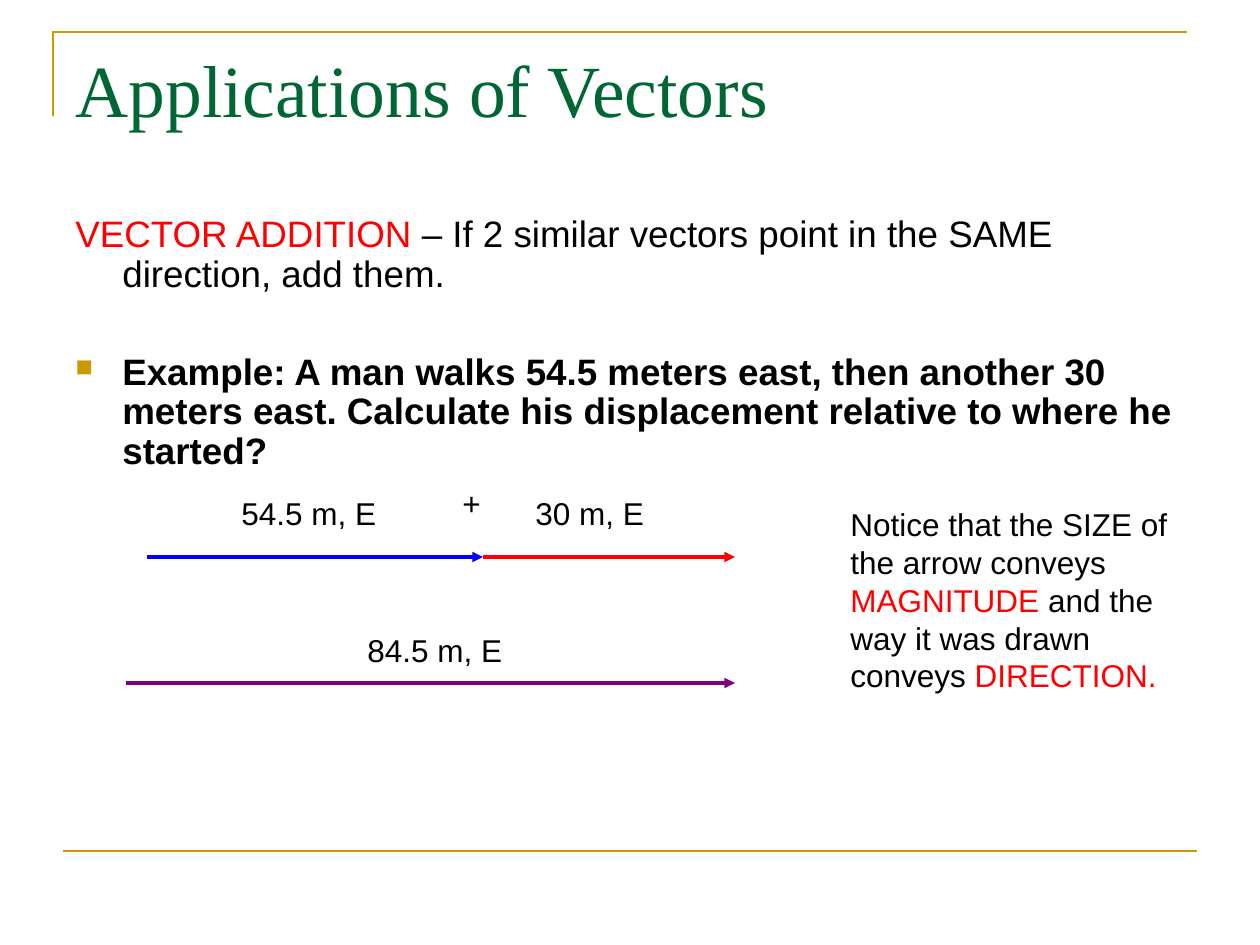
from lxml import etree
from pptx import Presentation
from pptx.dml.color import RGBColor
from pptx.enum.shapes import MSO_CONNECTOR
from pptx.enum.text import MSO_ANCHOR, MSO_AUTO_SIZE, PP_ALIGN
from pptx.oxml.ns import qn
from pptx.util import Emu, Pt

STRAIGHT = MSO_CONNECTOR.STRAIGHT
TOP = MSO_ANCHOR.TOP
LEFT = PP_ALIGN.LEFT
FIT = MSO_AUTO_SIZE.SHAPE_TO_FIT_TEXT
NONE = MSO_AUTO_SIZE.NONE

SCALE = 914400 / 126
THEME = {
    "gold": RGBColor.from_string("CC9900"),
    "green": RGBColor.from_string("006633"),
    "black": RGBColor.from_string("000000"),
    "red": RGBColor.from_string("FF0000"),
    "blue": RGBColor.from_string("0000FF"),
    "purple": RGBColor.from_string("800080"),
    "serif": "Times New Roman", "sans": "Arial",
    "title": Pt(42), "body": Pt(21), "note": Pt(18),
    "rule": Pt(1.5), "arrow": Pt(2),
}


def px(*vals):
    return [Emu(round(v * SCALE)) for v in vals]


def write(para, runs, size, face="sans", bold=False):
    para.alignment = LEFT
    for text, color in runs:
        run = para.add_run()
        run.text = text
        look = {"name": THEME[face], "size": THEME[size], "bold": bold}
        for key, val in look.items():
            setattr(run.font, key, val)
        run.font.color.rgb = THEME[color]


deck = Presentation()
deck.slide_width, deck.slide_height = px(1260, 945)
slide = deck.slides.add_slide(deck.slide_layouts[5])
shapes = slide.shapes

# Corner frame
pen = shapes.build_freeform(53, 116, scale=SCALE)
pen.add_line_segments([(53, 32), (1187, 32)], close=False)
frame = pen.convert_to_shape()
frame.fill.background()
frame.shadow.inherit = False
frame.line.color.rgb = THEME["gold"]
frame.line.width = THEME["rule"]

# Title
title = shapes.title
title.left, title.top, title.width, title.height = px(63, 38, 1134, 157)
for key, val in {"vertical_anchor": TOP, "auto_size": NONE, "word_wrap": True}.items():
    setattr(title.text_frame, key, val)
write(title.text_frame.paragraphs[0], [("Applications of Vectors", "green")],
      "title", "serif")

# Definition and example
body = shapes.add_textbox(*px(63, 210, 1134, 284)).text_frame
body.word_wrap = True
lines = [
    ([("VECTOR ADDITION", "red"),
      (" – If 2 similar vectors point in the SAME direction, add them.", "black")],
     5.2, False),
    ([("Example: A man walks 54.5 meters east, then another 30 meters east. "
       "Calculate his displacement relative to where he started?", "black")],
     33, True),
]
hang = px(47)[0]
for i, (runs, gap, example) in enumerate(lines):
    para = body.add_paragraph() if i else body.paragraphs[0]
    write(para, runs, "body", bold=example)
    para.line_spacing = 0.9
    para.space_before = Pt(gap)
    props = para._p.get_or_add_pPr()
    props.set("marL", str(hang))
    props.set("indent", str(-hang))
    if example:
        tint = etree.SubElement(props, qn("a:buClr"))
        etree.SubElement(tint, qn("a:srgbClr"), val=str(THEME["gold"]))
        etree.SubElement(props, qn("a:buSzPct"), val="65000")
        etree.SubElement(props, qn("a:buChar"), char="■")

# Vector arrows and the bottom rule
for x1, x2, y, color, width in [
    (63, 1197, 851, "gold", "rule"),
    (147, 483, 557, "blue", "arrow"),
    (483, 735, 557, "red", "arrow"),
    (126, 735, 683, "purple", "arrow"),
]:
    line = shapes.add_connector(STRAIGHT, *px(x1, y, x2, y))
    line.line.color.rgb = THEME[color]
    line.line.width = THEME[width]
    if width == "arrow":
        etree.SubElement(line.line._get_or_add_ln(), qn("a:tailEnd"), type="triangle")
    etree.SubElement(line._element.spPr, qn("a:effectLst"))

# Vector labels and the side note
note = [("Notice that the SIZE of the arrow conveys ", "black"),
        ("MAGNITUDE", "red"),
        (" and the way it was drawn conveys ", "black"),
        ("DIRECTION.", "red")]
for x, y, w, h, runs, wrap in [
    (229, 488, 160, 50, [("54.5 m, E", "black")], False),
    (523, 488, 134, 50, [("30 m, E", "black")], False),
    (450, 478, 43, 50, [("+", "black")], False),
    (355, 625, 160, 50, [("84.5 m, E", "black")], False),
    (838, 499, 359, 202, note, True),
]:
    frame = shapes.add_textbox(*px(x, y, w, h)).text_frame
    for key, val in {"word_wrap": wrap, "auto_size": FIT}.items():
        setattr(frame, key, val)
    write(frame.paragraphs[0], runs, "note")

deck.save("out.pptx")
